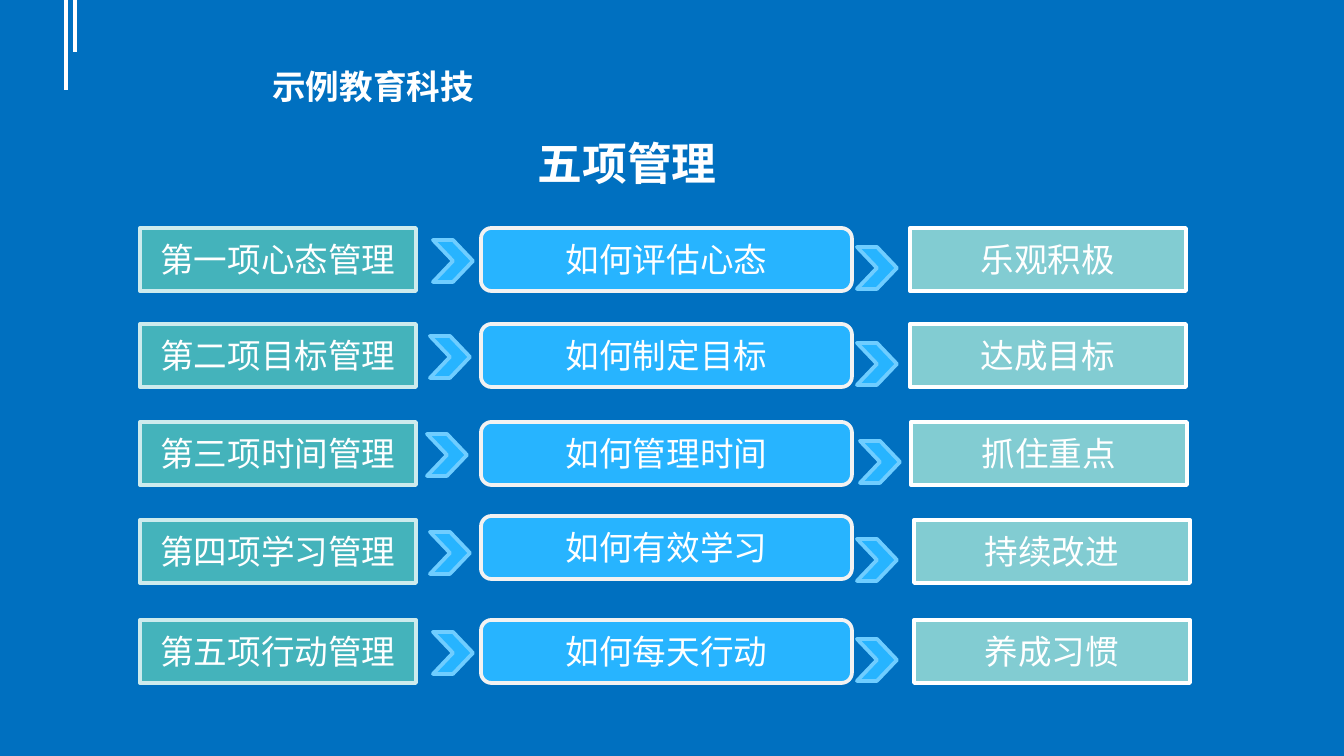
from pptx import Presentation
from pptx.dml.color import RGBColor as Rgb
from pptx.enum.shapes import MSO_CONNECTOR as Link, MSO_SHAPE as Kind
from pptx.enum.text import MSO_ANCHOR as Anchor, PP_ALIGN as Align
from pptx.oxml.ns import qn
from pptx.util import Pt
from lxml.etree import SubElement as Sub

TITLE = "五项管理"
BRAND = "示例教育科技"
ROWS = [
    ("第一项心态管理", "如何评估心态", "乐观积极"),
    ("第二项目标管理", "如何制定目标", "达成目标"),
    ("第三项时间管理", "如何管理时间", "抓住重点"),
    ("第四项学习管理", "如何有效学习", "持续改进"),
    ("第五项行动管理", "如何每天行动", "养成习惯"),
]
TOPS = [228, 324, 422, 520, 620]
ASK_TOPS = [228, 324, 422, 516, 620]
GOAL_LEFTS = [910, 910, 911, 914, 914]
ARROWS = [(433, 857), (430, 857), (427, 860), (430, 857), (433, 857)]
BARS = [(66, 90), (75, 52)]

THEME = {
    "font": "DejaVu Sans", "text": "FFFFFF", "back": "0070C0",
    "item": ("44B3BB", "CDEBED"), "ask": ("27B4FF", "F2F2F2"),
    "goal": ("82CCD2", "FFFFFF"), "arrow": ("27B4FF", "6FCDFF"),
    "head": 24, "body": 18, "edge": 2, "bar": 2.25,
}


def px(n):
    return round(n * 914400 / 134.4)


def write(frame, text, size, bold=False, align=Align.LEFT):
    frame.text = text
    frame.word_wrap = True
    para = frame.paragraphs[0]
    para.alignment = align
    font = para.runs[0].font
    font.name, font.size, font.bold = THEME["font"], Pt(size), bold
    font.color.rgb = Rgb.from_string(THEME["text"])


def place(shape, *box):
    shape.left, shape.top, shape.width, shape.height = map(px, box)


def draw(slide, kind, box, style, text=""):
    shape = slide.shapes.add_shape(kind, *map(px, box))
    shape.shadow.inherit = False
    fill, edge = map(Rgb.from_string, THEME[style])
    shape.fill.solid()
    shape.fill.fore_color.rgb = fill
    shape.line.color.rgb = edge
    shape.line.width = Pt(THEME["edge"])
    if text:
        write(shape.text_frame, text, THEME["body"], align=Align.CENTER)
        shape.text_frame.vertical_anchor = Anchor.MIDDLE


def add_bar(slide, x, end):
    bar = slide.shapes.add_connector(Link.STRAIGHT, *map(px, (x, 0, x, end)))
    bar.line.color.rgb = Rgb.from_string(THEME["text"])
    bar.line.width = Pt(THEME["bar"])
    Sub(bar.line._get_or_add_ln().getparent(), qn("a:effectLst"))


def main():
    deck = Presentation()
    deck.slide_width, deck.slide_height = px(1344), px(756)
    slide = deck.slides.add_slide(deck.slide_layouts[5])
    slide.background.fill.solid()
    slide.background.fill.fore_color.rgb = Rgb.from_string(THEME["back"])

    for x, end in BARS:
        add_bar(slide, x, end)

    for row, top, ask_top, left, arrows in zip(
            ROWS, TOPS, ASK_TOPS, GOAL_LEFTS, ARROWS):
        item, ask, goal = row
        draw(slide, Kind.RECTANGLE, (140, top, 276, 63), "item", item)
        draw(slide, Kind.ROUNDED_RECTANGLE, (481, ask_top, 371, 63), "ask", ask)
        draw(slide, Kind.RECTANGLE, (left, top, 276, 63), "goal", goal)
        for x, drop in zip(arrows, (12, 19)):
            draw(slide, Kind.CHEVRON, (x, top + drop, 40, 42), "arrow")

    title = slide.shapes.title
    place(title, 524, 125, 1210, 75)
    write(title.text_frame, TITLE, THEME["head"], True)
    title.text_frame.vertical_anchor = Anchor.MIDDLE

    brand = slide.shapes.add_textbox(*map(px, (259, 59, 1058, 86)))
    write(brand.text_frame, BRAND, THEME["body"], True)
    deck.save("out.pptx")


if __name__ == "__main__":
    main()
